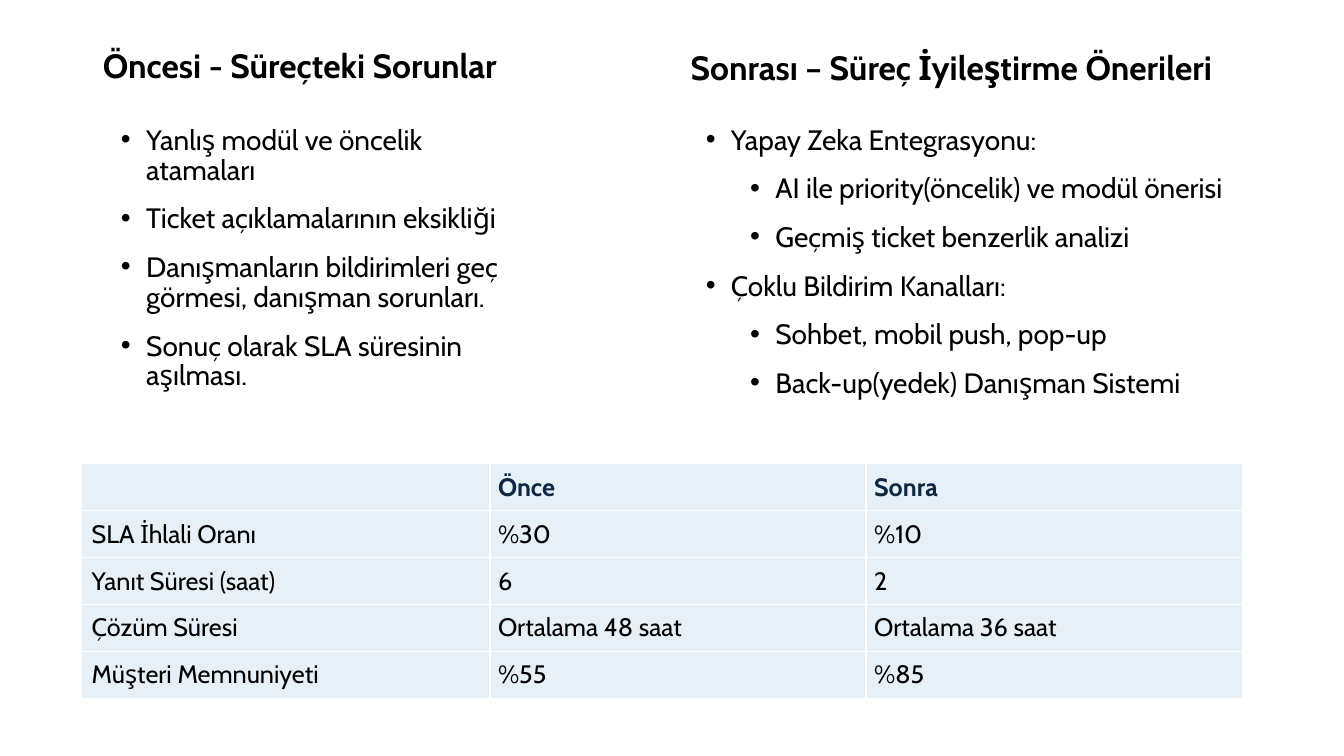
"""Build a before/after process comparison slide with a metrics table."""
from lxml import etree
from pptx import Presentation
from pptx.dml.color import RGBColor
from pptx.enum.text import MSO_ANCHOR, MSO_AUTO_SIZE, PP_ALIGN
from pptx.oxml.ns import qn
from pptx.util import Inches, Pt

TOP, MIDDLE, BOTTOM = MSO_ANCHOR.TOP, MSO_ANCHOR.MIDDLE, MSO_ANCHOR.BOTTOM
LEFT, NO_FIT = PP_ALIGN.LEFT, MSO_AUTO_SIZE.NONE
COMPARISON = 4
FONT = "Cabin"
COLORS = {"text": "000000", "header": "0E2841", "cell": "E7F0F7", "border": "FFFFFF"}

HEADINGS = {
    1: ("Öncesi - Süreçteki Sorunlar", (0.92, 0, 5.64, 0.9)),
    3: ("Sonrası – Süreç İyileştirme Önerileri", (6.75, 0.02, 5.67, 0.9)),
}
LISTS = {
    2: ((0.6, 1.2, 4.45, 2.99), [
        (1, "Yanlış modül ve öncelik atamaları"),
        (1, "Ticket açıklamalarının eksikliği"),
        (1, "Danışmanların bildirimleri geç görmesi, danışman sorunları."),
        (1, "Sonuç olarak SLA süresinin aşılması."),
    ]),
    4: ((6.4, 1.2, 6.2, 3.12), [
        (1, "Yapay Zeka Entegrasyonu:"),
        (3, "AI ile priority(öncelik) ve modül önerisi"),
        (3, "Geçmiş ticket benzerlik analizi"),
        (1, "Çoklu Bildirim Kanalları:"),
        (3, "Sohbet, mobil push, pop-up"),
        (3, "Back-up(yedek) Danışman Sistemi"),
    ]),
}
INDENTS = {1: 0.75, 3: 1.19}
HANGING = 0.25
TABLE_BOX = (0.81, 4.6, 11.5, 2.33)
COLUMNS = (4.05, 3.73, 3.73)
ROWS = [
    ("", "Önce", "Sonra"),
    ("SLA İhlali Oranı", "%30", "%10"),
    ("Yanıt Süresi (saat)", "6", "2"),
    ("Çözüm Süresi", "Ortalama 48 saat", "Ortalama 36 saat"),
    ("Müşteri Memnuniyeti", "%55", "%85"),
]


def apply(target, **values):
    for name, value in values.items():
        setattr(target, name, value)


def add_run(p, text, size, color="text", bold=False):
    r = p.add_run()
    r.text = text
    apply(r.font, name=FONT, size=Pt(size), bold=bold)
    r.font.color.rgb = RGBColor.from_string(COLORS[color])


def place(sp, box, anchor):
    left, top, width, height = map(Inches, box)
    apply(sp, left=left, top=top, width=width, height=height)
    tf = sp.text_frame
    apply(tf, word_wrap=True, auto_size=NO_FIT, vertical_anchor=anchor)
    return tf


def add_bullet(p, level):
    pPr = p._p.get_or_add_pPr()
    pPr.set("marL", str(Inches(INDENTS[level])))
    pPr.set("indent", str(-Inches(HANGING)))
    etree.SubElement(pPr, qn("a:buFont")).set("typeface", "Arial")
    etree.SubElement(pPr, qn("a:buChar")).set("char", "•")


def fill_list(sp, box, items):
    tf = place(sp, box, TOP)
    for i, (level, text) in enumerate(items):
        p = tf.add_paragraph() if i else tf.paragraphs[0]
        add_bullet(p, level)
        apply(p, level=level, alignment=LEFT, line_spacing=Pt(21.4),
              space_before=Pt(3 if i else 0), space_after=Pt(10.3))
        add_run(p, text, 20)


def add_borders(cell):
    tcPr = cell._tc.get_or_add_tcPr()
    for i, side in enumerate(("lnL", "lnR", "lnT", "lnB")):
        ln = etree.Element(qn(f"a:{side}"), w=str(Pt(1)))
        fill = etree.SubElement(ln, qn("a:solidFill"))
        etree.SubElement(fill, qn("a:srgbClr")).set("val", COLORS["border"])
        tcPr.insert(i, ln)


def add_metrics(s):
    left, top, width, height = map(Inches, TABLE_BOX)
    table = s.shapes.add_table(len(ROWS), len(COLUMNS), left, top, width, height).table
    apply(table, horz_banding=False)
    for column, size in zip(table.columns, COLUMNS):
        column.width = Inches(size)
    for r, values in enumerate(ROWS):
        for c, text in enumerate(values):
            cell = table.cell(r, c)
            pad = Inches(0.08)
            apply(cell, vertical_anchor=MIDDLE, margin_left=pad if c else Inches(0.1),
                  margin_right=pad, margin_top=pad, margin_bottom=pad)
            cell.fill.solid()
            cell.fill.fore_color.rgb = RGBColor.from_string(COLORS["cell"])
            add_borders(cell)
            if text:
                add_run(cell.text_frame.paragraphs[0], text, 18,
                        "text" if r else "header", r == 0)


def main():
    prs = Presentation()
    apply(prs, slide_width=Inches(13.33), slide_height=Inches(7.5))
    s = prs.slides.add_slide(prs.slide_layouts[COMPARISON])
    title = s.shapes.title.element
    title.getparent().remove(title)
    for idx, (text, box) in HEADINGS.items():
        p = place(s.placeholders[idx], box, BOTTOM).paragraphs[0]
        apply(p, alignment=LEFT, line_spacing=0.9, space_before=Pt(0))
        add_run(p, text, 24, bold=True)
    for idx, (box, items) in LISTS.items():
        fill_list(s.placeholders[idx], box, items)
    add_metrics(s)
    prs.save("out.pptx")


if __name__ == "__main__":
    main()
